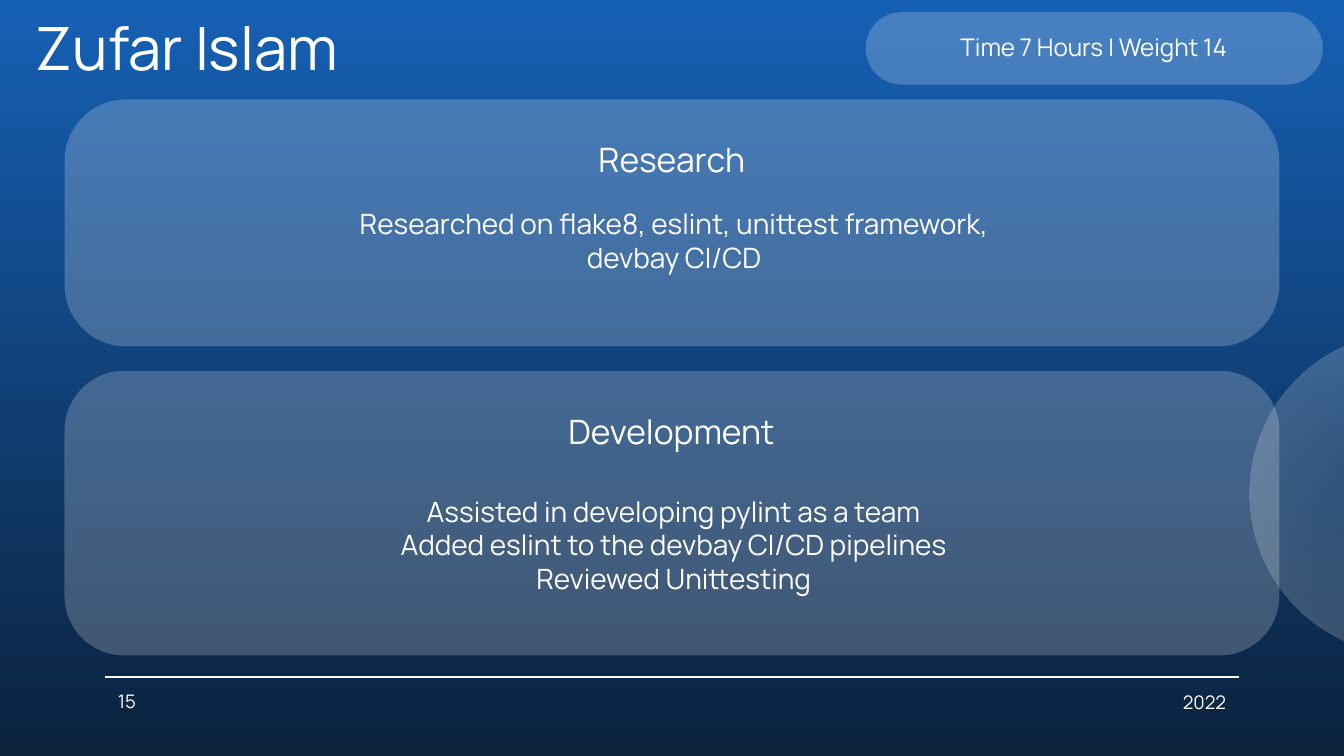
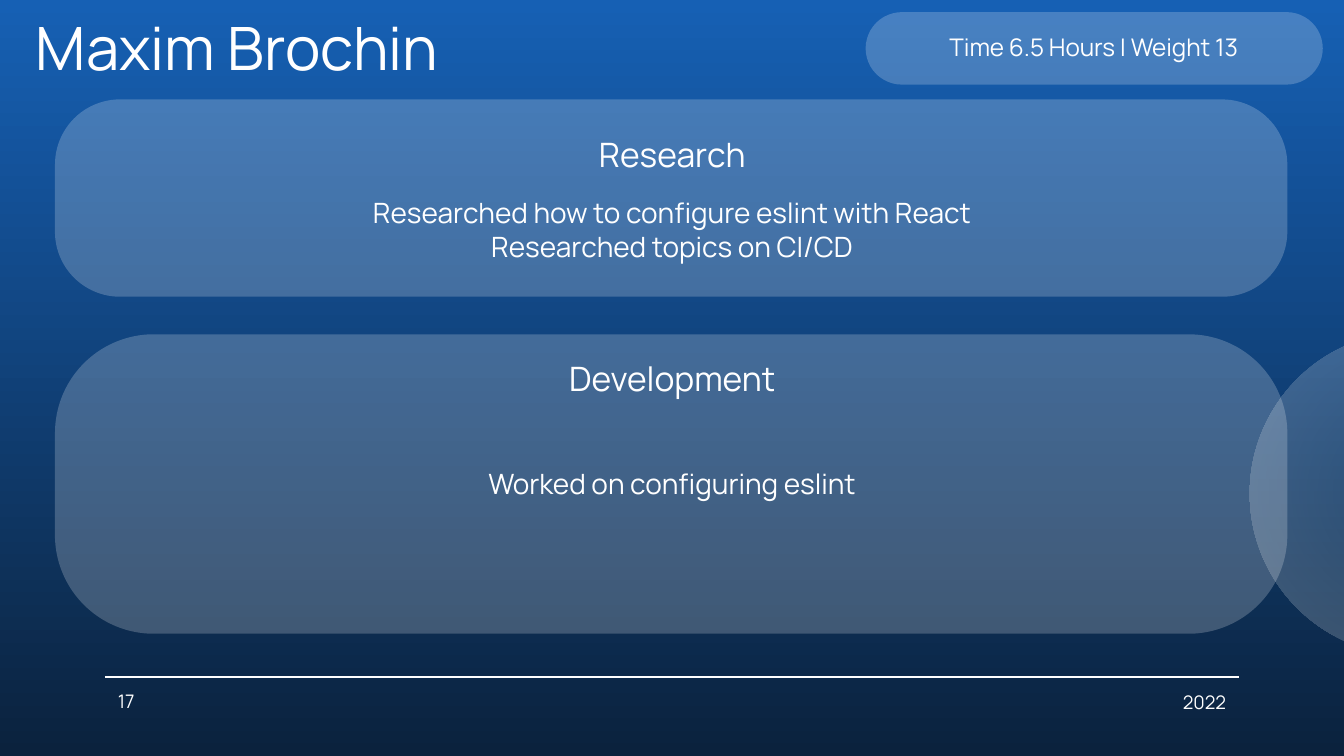
from dataclasses import dataclass

from lxml import etree
from pptx import Presentation
from pptx.dml.color import RGBColor
from pptx.enum.shapes import MSO_CONNECTOR, MSO_SHAPE
from pptx.enum.text import MSO_ANCHOR, MSO_AUTO_SIZE, PP_ALIGN
from pptx.oxml import parse_xml
from pptx.oxml.ns import nsdecls, qn
from pptx.shapes.autoshape import Shape
from pptx.slide import Slide
from pptx.util import Cm, Pt

WHITE = RGBColor(0xFF, 0xFF, 0xFF)
SKY = RGBColor(0x16, 0x60, 0xB4)
NAVY = RGBColor(0x0B, 0x22, 0x3D)
MIST = RGBColor(0x86, 0x9F, 0xB1)

LEFT, CENTER, RIGHT = PP_ALIGN.LEFT, PP_ALIGN.CENTER, PP_ALIGN.RIGHT
TOP, MIDDLE = MSO_ANCHOR.TOP, MSO_ANCHOR.MIDDLE
NO_AUTOFIT = MSO_AUTO_SIZE.NONE
ROUNDED, OVAL = MSO_SHAPE.ROUNDED_RECTANGLE, MSO_SHAPE.OVAL
STRAIGHT = MSO_CONNECTOR.STRAIGHT

FONT = "Manrope"
GLASS_ALPHA = "21000"
COMPARISON_LAYOUT = 4


@dataclass(frozen=True)
class Frame:
    left: float
    top: float
    width: float
    height: float

    def lengths(self) -> tuple[Cm, Cm, Cm, Cm]:
        return Cm(self.left), Cm(self.top), Cm(self.width), Cm(self.height)


@dataclass(frozen=True)
class TextStyle:
    size: float
    align: PP_ALIGN = CENTER
    anchor: MSO_ANCHOR = MIDDLE


@dataclass(frozen=True)
class Panel:
    frame: Frame
    rounding: float
    heading: str
    heading_frame: Frame
    items: list[str]
    items_frame: Frame


@dataclass(frozen=True)
class Report:
    member: str
    effort: str
    number: str
    panels: list[Panel]


TITLE = TextStyle(32, LEFT)
HEADING = TextStyle(18)
ITEMS = TextStyle(15, anchor=TOP)
EFFORT = TextStyle(13)
NUMBER = TextStyle(10, LEFT)
YEAR = TextStyle(10, RIGHT)

TITLE_FRAME = Frame(0.43, 0.18, 21.46, 1.42)
PILL_FRAME = Frame(16.36, 0.23, 8.64, 1.37)
EFFORT_FRAME = Frame(16.54, 0.43, 8.26, 0.91)
NUMBER_FRAME = Frame(1.98, 12.83, 1.27, 0.86)
YEAR_FRAME = Frame(20.37, 12.85, 3.05, 0.86)
ORB_FRAME = Frame(23.62, 6.27, 6.12, 6.12)

REPORTS = [
    Report("Zufar Islam", "Time 7 Hours | Weight 14", "15", [
        Panel(Frame(1.22, 1.88, 22.96, 4.67), 0.25,
              "Research", Frame(6.88, 2.34, 11.63, 1.32),
              ["Researched on flake8, eslint, unittest framework, devbay CI/CD"],
              Frame(6.53, 3.66, 12.42, 2.39)),
        Panel(Frame(1.22, 7.01, 22.96, 5.38), 0.21,
              "Development", Frame(7.42, 7.49, 10.54, 1.32),
              ["Assisted in developing pylint as a team",
               "Added eslint to the devbay CI/CD pipelines",
               "Reviewed Unittesting"],
              Frame(7.06, 9.09, 11.35, 2.97)),
    ]),
    Report("Maxim Brochin", "Time 6.5 Hours | Weight 13", "17", [
        Panel(Frame(1.04, 1.88, 23.29, 3.73), 0.33,
              "Research", Frame(9.02, 2.26, 7.37, 1.32),
              ["Researched how to configure eslint with React",
               "Researched topics on CI/CD"],
              Frame(2.29, 3.45, 20.83, 1.9)),
        Panel(Frame(1.04, 6.32, 23.29, 5.66), 0.33,
              "Development", Frame(9.02, 6.48, 7.37, 1.32),
              ["Worked on configuring eslint"],
              Frame(2.29, 8.56, 20.83, 3.2)),
    ]),
]


def write(box: Shape, frame: Frame, lines: list[str], style: TextStyle) -> None:
    box.left, box.top, box.width, box.height = frame.lengths()
    text = box.text_frame
    text.text = "\n".join(lines)
    text.word_wrap = True
    text.auto_size = NO_AUTOFIT
    text.vertical_anchor = style.anchor
    text.margin_left = text.margin_right = Cm(0.25)
    text.margin_top = text.margin_bottom = Cm(0.25)
    for para in text.paragraphs:
        para.alignment = style.align
        para.line_spacing = 1.0
        para.space_before = Pt(0)
        properties = para._p.get_or_add_pPr()
        properties.set("marL", "0")
        properties.set("indent", "0")
        etree.SubElement(properties, qn("a:buNone"))
        para.font.name = FONT
        para.font.size = Pt(style.size)
        para.font.bold = False
        para.font.color.rgb = WHITE


def add_label(page: Slide, frame: Frame, line: str, style: TextStyle) -> None:
    write(page.shapes.add_textbox(*frame.lengths()), frame, [line], style)


def add_glass(page: Slide, frame: Frame, rounding: float) -> None:
    box = page.shapes.add_shape(ROUNDED, *frame.lengths())
    box.adjustments[0] = rounding
    box.shadow.inherit = False
    box.line.fill.background()
    box.fill.solid()
    box.fill.fore_color.rgb = WHITE
    color = box.element.spPr.find(".//" + qn("a:srgbClr"))
    etree.SubElement(color, qn("a:alpha"), val=GLASS_ALPHA)
    page.shapes.title.element.addprevious(box.element)


def add_report(page: Slide, report: Report) -> None:
    write(page.shapes.title, TITLE_FRAME, [report.member], TITLE)
    bodies = [box for box in page.placeholders if box.placeholder_format.idx > 0]
    for panel, heading, items in zip(report.panels, bodies[::2], bodies[1::2]):
        add_glass(page, panel.frame, panel.rounding)
        write(heading, panel.heading_frame, [panel.heading], HEADING)
        write(items, panel.items_frame, panel.items, ITEMS)
    add_glass(page, PILL_FRAME, 0.5)
    add_label(page, EFFORT_FRAME, report.effort, EFFORT)
    add_label(page, NUMBER_FRAME, report.number, NUMBER)
    add_label(page, YEAR_FRAME, "2022", YEAR)


def move_backdrop_to_layout(page: Slide) -> None:
    layout = page.slide_layout
    fill = layout.background.fill
    fill.gradient()
    fill.gradient_angle = 270
    for stop, color, position in zip(fill.gradient_stops, (SKY, NAVY), (0, 1)):
        stop.color.rgb = color
        stop.position = position

    rule = page.shapes.add_connector(STRAIGHT, Cm(1.98), Cm(12.8), Cm(23.42), Cm(12.8))
    rule.line.color.rgb = WHITE
    rule.line.width = Pt(0.75)
    etree.SubElement(rule.element.spPr, qn("a:effectLst"))

    orb = page.shapes.add_shape(OVAL, *ORB_FRAME.lengths())
    orb.line.fill.background()
    orb.shadow.inherit = False
    stops = "".join(
        f'<a:gs pos="{position}"><a:srgbClr val="{color}">'
        f'<a:alpha val="{GLASS_ALPHA}"/></a:srgbClr></a:gs>'
        for position, color in ((0, MIST), (100000, WHITE))
    )
    gradient = parse_xml(
        f'<a:gradFill {nsdecls("a")}><a:gsLst>{stops}</a:gsLst><a:path path="circle">'
        '<a:fillToRect l="50000" t="50000" r="50000" b="50000"/></a:path></a:gradFill>'
    )
    orb.element.spPr.find(qn("a:prstGeom")).addnext(gradient)

    for shape in (rule, orb):
        layout.shapes.element.append(shape.element)


def main() -> None:
    deck = Presentation()
    deck.slide_width, deck.slide_height = Cm(25.4), Cm(14.29)
    layout = deck.slide_layouts[COMPARISON_LAYOUT]
    for report in REPORTS:
        page = deck.slides.add_slide(layout)
        add_report(page, report)
    move_backdrop_to_layout(page)
    deck.save("out.pptx")


if __name__ == "__main__":
    main()
